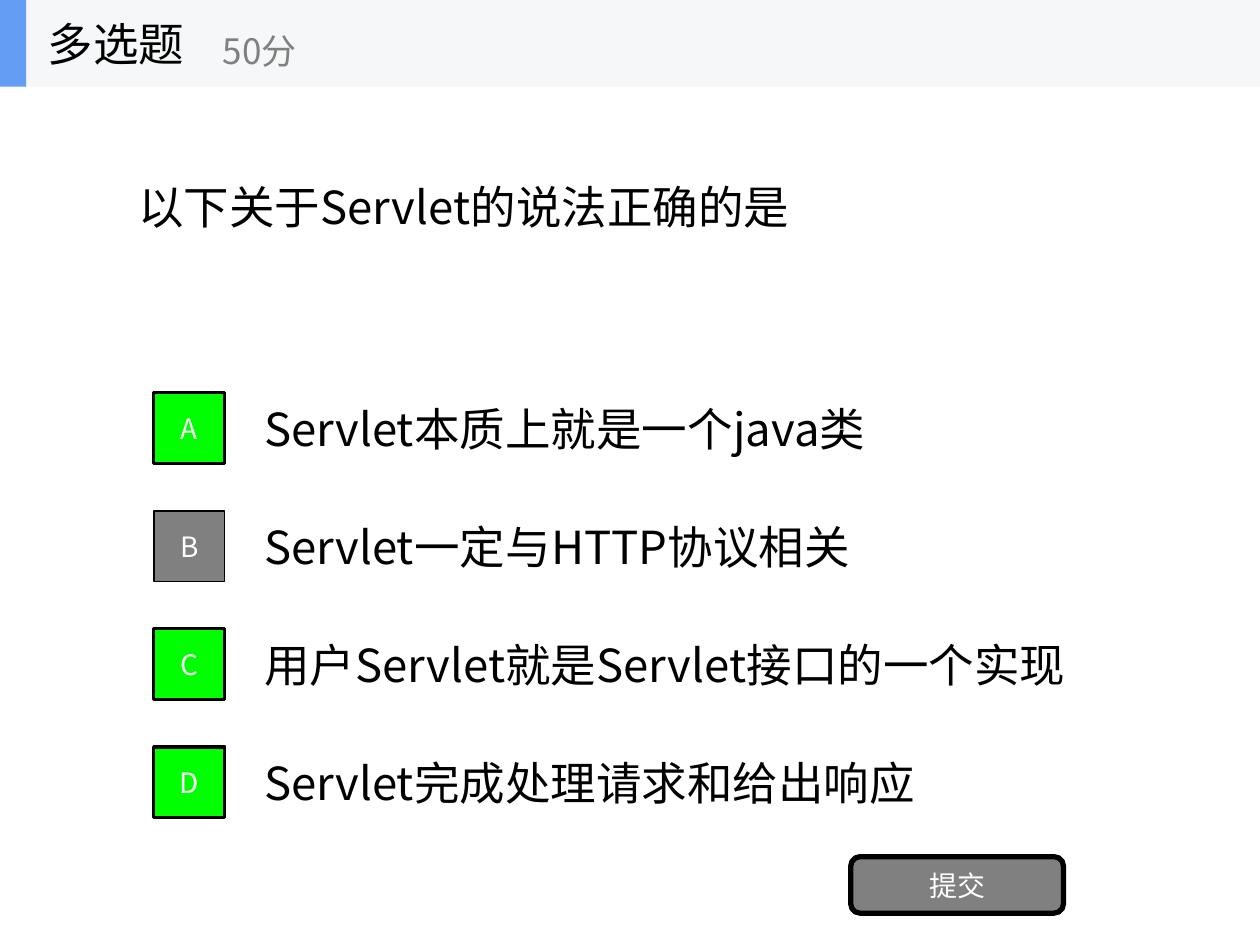
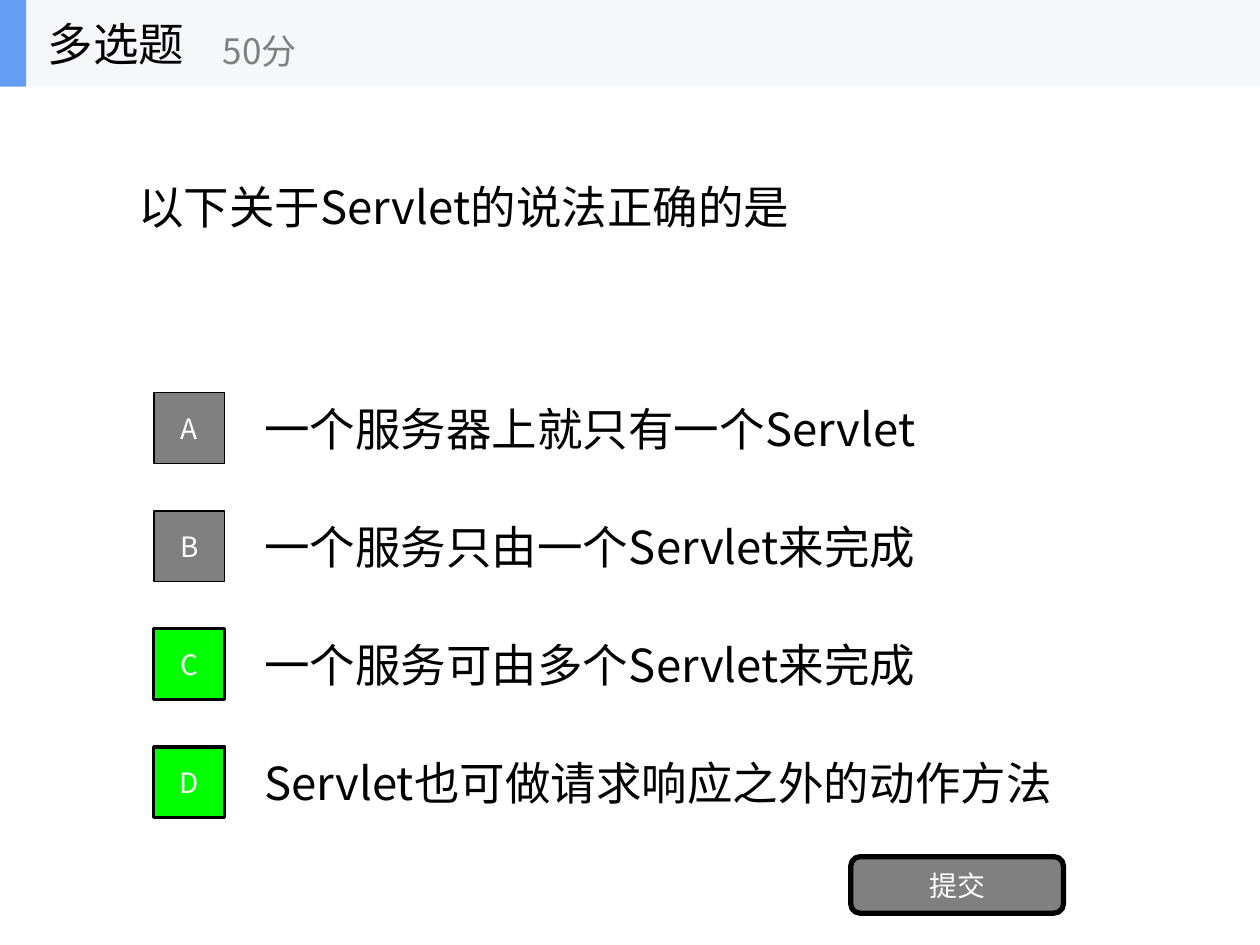
from pptx import Presentation
from pptx.dml.color import RGBColor
from pptx.enum.shapes import MSO_SHAPE
from pptx.enum.text import MSO_ANCHOR, PP_ALIGN
from pptx.oxml.ns import qn
from pptx.util import Cm, Pt

RECTANGLE = MSO_SHAPE.RECTANGLE
ROUNDED = MSO_SHAPE.ROUNDED_RECTANGLE
MIDDLE = MSO_ANCHOR.MIDDLE
LEFT, CENTER = PP_ALIGN.LEFT, PP_ALIGN.CENTER

FONT = "Noto Sans CJK SC"
COLORS = {
    "text": "000000",
    "white": "FFFFFF",
    "grey": "808080",
    "correct": "00FF00",
    "band": "F6F7F8",
    "accent": "639EF4",
}
BODY_SIZE, SCORE_SIZE, BUTTON_SIZE = 26, 20, 16

# Option rows, in centimetres
FIRST_ROW_TOP, ROW_PITCH, ROW_HEIGHT = 7.74, 2.38, 1.78
BOX_SIZE = 1.43
HEADER_HEIGHT = 1.75

QUESTION = "以下关于Servlet的说法正确的是"
# Each question: its options and the letters of the correct ones
QUIZZES = [
    (["Servlet本质上就是一个java类",
      "Servlet一定与HTTP协议相关",
      "用户Servlet就是Servlet接口的一个实现",
      "Servlet完成处理请求和给出响应"], "ACD"),
    (["一个服务器上就只有一个Servlet",
      "一个服务只由一个Servlet来完成",
      "一个服务可由多个Servlet来完成",
      "Servlet也可做请求响应之外的动作方法"], "CD"),
]


def color(name):
    return RGBColor.from_string(COLORS[name])


class QuizDeck:
    def __init__(self):
        self.presentation = Presentation()
        self.presentation.slide_width = Cm(25.4)
        self.presentation.slide_height = Cm(19.05)
        self.slide = None

    def add_slide(self):
        blank = self.presentation.slide_layouts[6]
        self.slide = self.presentation.slides.add_slide(blank)

    def set_text(self, shape, text, size, color_name, alignment):
        frame = shape.text_frame
        frame.text = text
        frame.word_wrap = True
        frame.vertical_anchor = MIDDLE
        paragraph = frame.paragraphs[0]
        paragraph.alignment = alignment
        font = paragraph.runs[0].font
        font.name = FONT
        font.size = Pt(size)
        font.color.rgb = color(color_name)
        latin = font._element.find(qn("a:latin"))
        latin.addnext(latin.makeelement(qn("a:ea"), {"typeface": FONT}))

    def text(self, box, text, size=BODY_SIZE, color_name="text", parent=None):
        shapes = (parent or self.slide).shapes
        shape = shapes.add_textbox(*map(Cm, box))
        self.set_text(shape, text, size, color_name, LEFT)

    def block(self, box, fill, kind=RECTANGLE, line_width=0, parent=None):
        shapes = (parent or self.slide).shapes
        shape = shapes.add_shape(kind, *map(Cm, box))
        shape.shadow.inherit = False
        shape.fill.solid()
        shape.fill.fore_color.rgb = color(fill)
        if line_width:
            shape.line.color.rgb = color("text")
            shape.line.width = Pt(line_width)
        else:
            shape.line.fill.background()
        return shape

    def button(self, box, label, fill, line_width, kind=RECTANGLE):
        shape = self.block(box, fill, kind, line_width)
        self.set_text(shape, label, BUTTON_SIZE, "white", CENTER)

    def header(self, title, score):
        group = self.slide.shapes.add_group_shape()
        self.block((0, 0, 25.4, HEADER_HEIGHT), "band", parent=group)
        self.block((0, 0, 0.53, HEADER_HEIGHT), "accent", parent=group)
        self.text((0.71, 0, 5.28, HEADER_HEIGHT), title, parent=group)
        self.text((4.24, 0.3, 6.35, 1.42), score, SCORE_SIZE, "grey", group)

    def options(self, options, correct):
        letters = "ABCD"
        tops = [FIRST_ROW_TOP + row * ROW_PITCH for row in range(len(options))]
        for top, option in zip(tops, options):
            self.text((5.08, top, 17.78, ROW_HEIGHT), option)
        for top, letter in zip(tops, letters):
            box_top = top + (ROW_HEIGHT - BOX_SIZE) / 2
            fill, line_width = ("correct", 2) if letter in correct else ("grey", 1)
            self.button((3.1, box_top, BOX_SIZE, BOX_SIZE), letter, fill, line_width)


def main():
    deck = QuizDeck()
    for options, correct in QUIZZES:
        deck.add_slide()
        # Question and answers
        deck.text((2.54, 1.19, 20.32, 5.94), QUESTION)
        deck.options(options, correct)
        # Submit button
        deck.button((17.15, 17.27, 4.29, 1.14), "提交", "grey", 3, ROUNDED)
        # Header band
        deck.header("多选题", "50分")
    deck.presentation.save("out.pptx")


if __name__ == "__main__":
    main()
